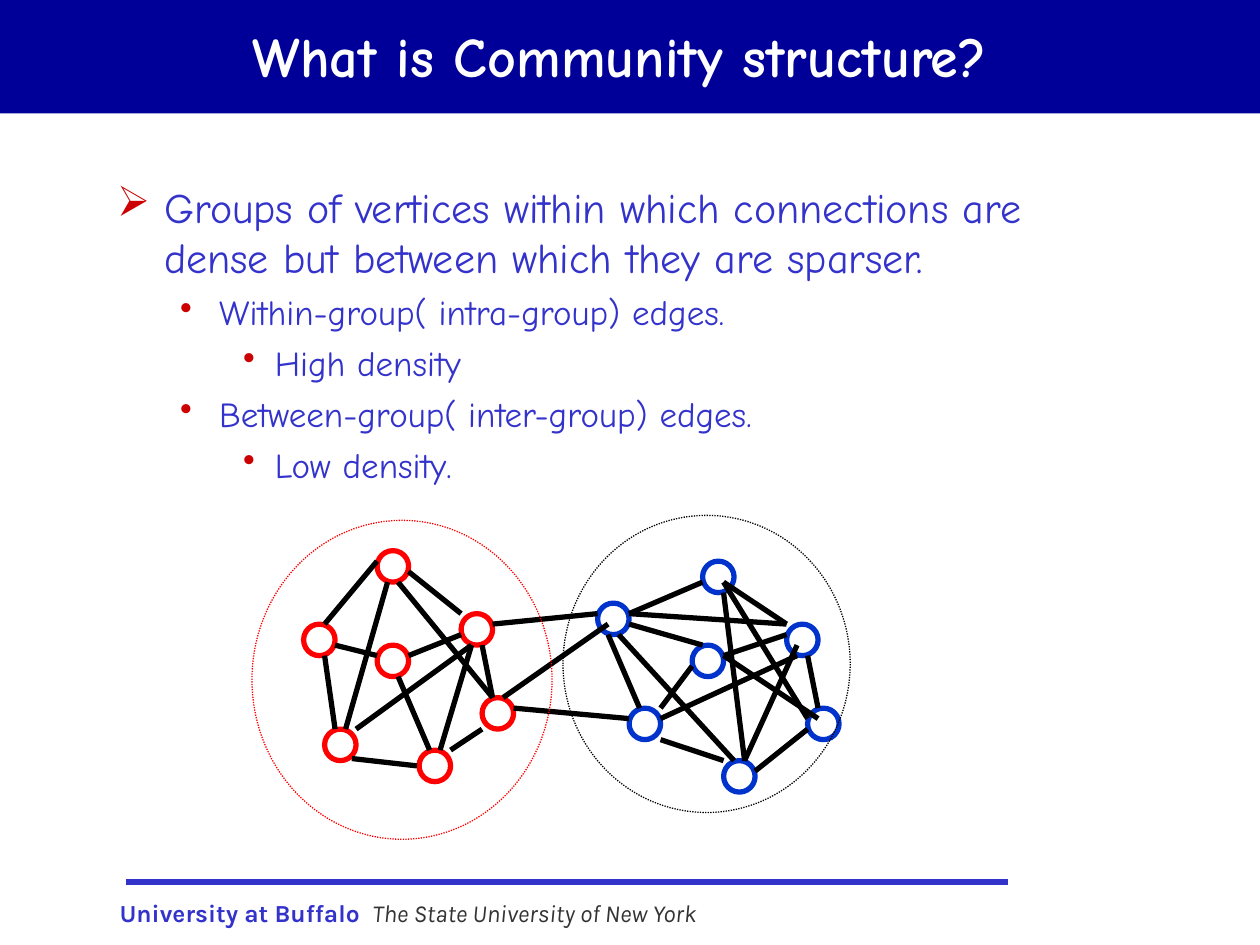
from lxml.etree import SubElement as Sub
from pptx import Presentation
from pptx.dml.color import RGBColor as RGB
from pptx.enum.dml import MSO_LINE as Dash
from pptx.enum.shapes import MSO_CONNECTOR as Conn, MSO_SHAPE as Shape
from pptx.enum.text import MSO_ANCHOR as Anchor, PP_ALIGN as Align
from pptx.oxml.ns import qn
from pptx.util import Cm, Pt

NAVY = RGB(0x00, 0x00, 0x99)
INDIGO = RGB(0x33, 0x33, 0xCC)
BLUE = RGB(0x00, 0x33, 0xCC)
RED = RGB(0xFF, 0x00, 0x00)
CRIMSON = RGB(0xCC, 0x00, 0x00)
GREY = RGB(0x33, 0x33, 0x33)
BLACK = RGB(0, 0, 0)
WHITE = RGB(255, 255, 255)
HEAD, FOOT = "Comic Neue", "Karla"

TITLE = "What is Community structure? "
POINTS = [
    (0, "Groups of vertices within which connections are dense but between which they are sparser."),
    (1, "Within-group( intra-group) edges."),
    (2, "High density"),
    (1, "Between-group( inter-group) edges."),
    (2, "Low density."),
]
# level: bullet, left margin, hanging indent, size, space before
LEVELS = [("➢", 0.95, 0.95, 24, 6), ("•", 2.06, 0.79, 20, 5), ("•", 3.18, 0.64, 20, 5)]
FOOTERS = [
    ("University at Buffalo", 2.16, 5.61, INDIGO, True, False),
    ("The State University of New York", 7.26, 7.7, GREY, False, True),
]

# The graph sits on a grid of twelve steps to the inch.
STEP, LEFT, TOP = 2.54 / 12, 6.12, 11.1
NODE = 3 * STEP
GROUPS = [
    (RED, [(0, 7), (7, 0), (15, 6), (2, 17), (7, 9), (11, 19), (17, 14)]),
    (BLUE, [(28, 5), (38, 1), (46, 7), (31, 15), (37, 9), (40, 20), (48, 15)]),
]
EDGES = [
    (4.6, 19.8, 10.8, 20.5), (2, 10, 3, 17), (2, 7, 7, 1), (3, 9, 7, 10),
    (4, 17, 8, 3), (10, 2, 15, 6), (9, 3, 18, 14), (10, 10, 15, 8),
    (5, 17, 16, 9), (12, 19, 9, 12), (13, 19, 16, 9), (18, 14, 17, 9),
    (14, 19, 17, 17), (18, 7, 28, 6), (20, 15, 31, 16), (31, 6, 38, 3),
    (31, 7, 38, 9), (32, 15, 29, 8), (34, 15, 37, 11), (34, 16, 47, 10),
    (34, 18, 40, 20), (40, 4, 42, 20), (43, 21, 48, 17), (42, 20, 47, 9),
    (46, 7, 40, 3), (48, 10, 49, 15), (48, 16, 40, 3), (46, 8, 40, 10),
    (49, 16, 40, 10), (31, 6, 46, 7), (19, 14, 29, 7), (30, 8, 41, 20),
]
RINGS = [(RED, 5.08, 10.49, 6.05, 6.43), (BLACK, 11.35, 10.39, 5.79, 5.99)]

deck = Presentation()
deck.slide_width, deck.slide_height = Cm(25.4), Cm(19.05)
slide = deck.slides.add_slide(deck.slide_layouts[6])
shapes = slide.shapes


def style(font, name, size, color, bold=False, italic=False):
    font.name, font.size = name, Pt(size)
    font.color.rgb = color
    font.bold, font.italic = bold, italic


def draw_line(x1, y1, x2, y2, color):
    line = shapes.add_connector(Conn.STRAIGHT, Cm(x1), Cm(y1), Cm(x2), Cm(y2))
    line.line.color.rgb = color
    line.line.width = Pt(3)
    Sub(line._element.spPr, qn("a:effectLst"))


def draw_ring(x, y, w, h, color, width):
    ring = shapes.add_shape(Shape.OVAL, Cm(x), Cm(y), Cm(w), Cm(h))
    ring.shadow.inherit = False
    ring.fill.background()
    ring.line.color.rgb = color
    ring.line.width = Pt(width)
    return ring


def grid(x, y):
    return LEFT + x * STEP, TOP + y * STEP


def add_bullet(para, mark, left, hang):
    props = para._p.get_or_add_pPr()
    props.set("marL", str(Cm(left)))
    props.set("indent", str(-Cm(hang)))
    Sub(Sub(props, qn("a:buClr")), qn("a:srgbClr"), val=str(CRIMSON))
    Sub(props, qn("a:buChar"), char=mark)


draw_line(2.54, 17.78, 20.32, 17.78, INDIGO)
for text, x, w, color, bold, italic in FOOTERS:
    frame = shapes.add_textbox(Cm(x), Cm(17.98), Cm(w), Cm(0.86)).text_frame
    frame.word_wrap = False
    frame.text = text
    style(frame.paragraphs[0].runs[0].font, FOOT, 14, color, bold, italic)

band = shapes.add_shape(Shape.RECTANGLE, Cm(0), Cm(-0.05), Cm(25.4), Cm(2.34))
band.shadow.inherit = False
band.fill.solid()
band.fill.fore_color.rgb = NAVY
band.line.fill.background()
frame = band.text_frame
frame.vertical_anchor = Anchor.MIDDLE
frame.text = TITLE
frame.paragraphs[0].alignment = Align.CENTER
style(frame.paragraphs[0].runs[0].font, HEAD, 32, WHITE, True)

body = shapes.add_textbox(Cm(2.11), Cm(3.53), Cm(19.79), Cm(6.48)).text_frame
body.word_wrap = True
for i, (level, text) in enumerate(POINTS):
    mark, left, hang, size, gap = LEVELS[level]
    para = body.add_paragraph() if i else body.paragraphs[0]
    para.text = text
    para.level = level
    add_bullet(para, mark, left, hang)
    if i:
        para.space_before = Pt(gap)
    style(para.runs[0].font, HEAD, size, INDIGO)

for color, nodes in GROUPS:
    for node in nodes:
        draw_ring(*grid(*node), NODE, NODE, color, 3)
for x1, y1, x2, y2 in EDGES:
    draw_line(*grid(x1, y1), *grid(x2, y2), BLACK)
for color, *place in RINGS:
    draw_ring(*place, color, 0.75).line.dash_style = Dash.ROUND_DOT

deck.save("out.pptx")
